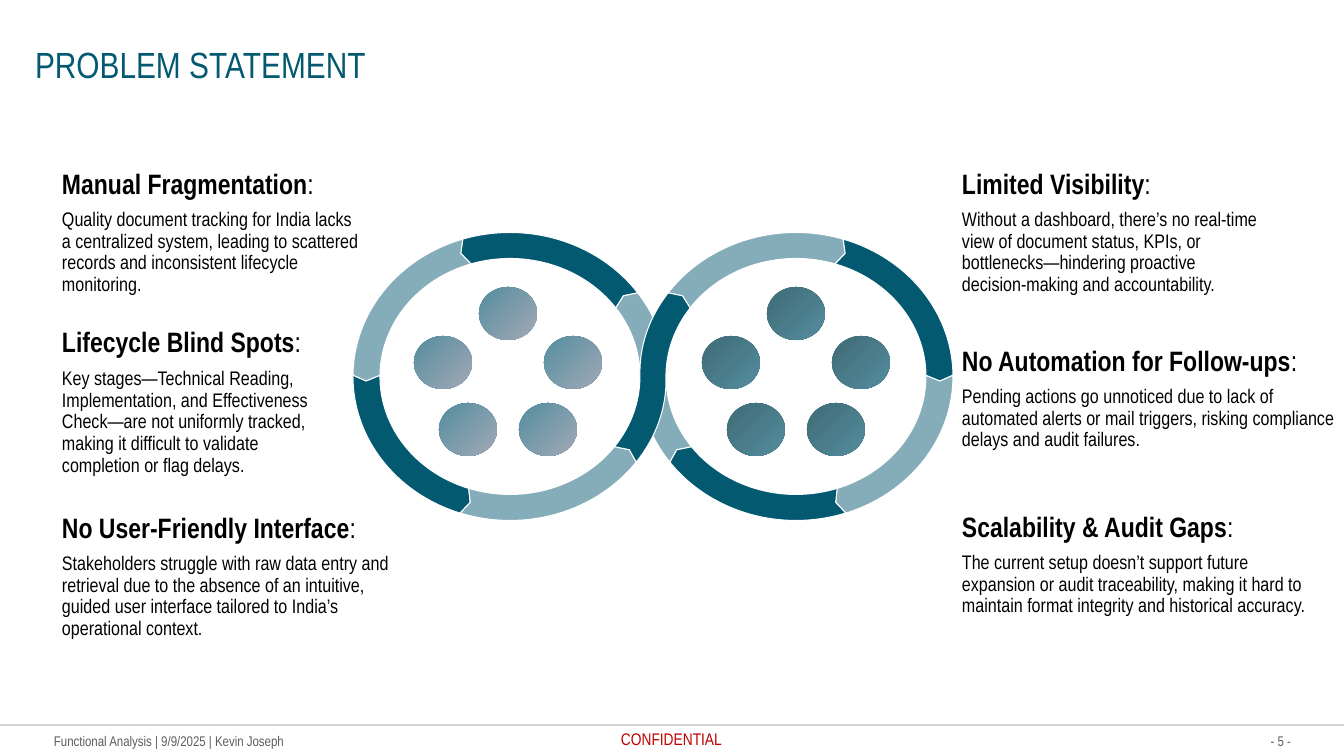
import math

import pptx
import pptx.dml.color
import pptx.enum.shapes
import pptx.enum.text
import pptx.oxml
import pptx.oxml.ns
import pptx.util

PX = 914400 / 100.8
FONT = "Arial Narrow"
NAMESPACE = pptx.oxml.ns.nsdecls("a")
COLORS = {
    "dark": "035970", "light": "85ACB9", "white": "FFFFFF", "black": "000000",
    "teal": "548D9E", "mist": "A2A9B7", "deep": "3F6A76",
    "grey": "5E5E5E", "red": "C00000",
}
RING_CENTER = 143
OUTER, MIDDLE, INNER = (157, 144), (144, 131), (130, 118)
JOINT_ANGLE, JOINT_STEP, NOTCH = -35.5, -72, -2.5
BEADS = [(-65, -14), (65, -14), (0, -63), (-40, 53), (40, 53)]
BEAD_SIZE = (58, 53)
CALLOUTS = [
    ((62, 169, 298, 128), "Manual Fragmentation",
     "Quality document tracking for India lacks a centralized system, leading to "
     "scattered records and inconsistent lifecycle monitoring."),
    ((62, 328, 271, 185), "Lifecycle Blind Spots",
     "Key stages—Technical Reading, Implementation, and Effectiveness Check—are not "
     "uniformly tracked, making it difficult to validate completion or flag delays."),
    ((62, 513, 328, 128), "No User-Friendly Interface",
     "Stakeholders struggle with raw data entry and retrieval due to the absence of an "
     "intuitive, guided user interface tailored to India’s operational context."),
    ((962, 169, 298, 128), "Limited Visibility",
     "Without a dashboard, there’s no real-time view of document status, KPIs, or "
     "bottlenecks—hindering proactive decision-making and accountability."),
    ((962, 346, 387, 106), "No Automation for Follow-ups",
     "Pending actions go unnoticed due to lack of automated alerts or mail triggers, "
     "risking compliance delays and audit failures."),
    ((962, 512, 364, 128), "Scalability & Audit Gaps",
     "The current setup doesn’t support future expansion or audit traceability, making "
     "it hard to maintain format integrity and historical accuracy."),
]


def px(length):
    """Turn pixels into EMU."""
    return pptx.util.Emu(round(length * PX))


def rgb(name):
    """Look up a named colour."""
    return pptx.dml.color.RGBColor.from_string(COLORS[name])


def write(paragraph, text, size=14, color="black", bold=False, align="LEFT"):
    """Append a formatted run to a paragraph."""
    paragraph.alignment = getattr(pptx.enum.text.PP_ALIGN, align)
    run = paragraph.add_run()
    run.text = text
    run.font.name = FONT
    run.font.size = pptx.util.Pt(size)
    run.font.bold = bold
    run.font.color.rgb = rgb(color)


def prepare_frame(shape, anchor="TOP"):
    """Give a text shape no margins, wrapping and an anchor."""
    frame = shape.text_frame
    frame.margin_left = frame.margin_top = frame.margin_right = frame.margin_bottom = 0
    frame.word_wrap = True
    frame.auto_size = pptx.enum.text.MSO_AUTO_SIZE.NONE
    frame.vertical_anchor = getattr(pptx.enum.text.MSO_ANCHOR, anchor)
    return frame


def add_frame(slide, box, anchor="TOP"):
    """Add a text box and return its frame."""
    return prepare_frame(slide.shapes.add_textbox(*map(px, box)), anchor)


def add_title(slide, box, text):
    """Place and fill the title placeholder."""
    title = slide.shapes.title
    title.left, title.top, title.width, title.height = map(px, box)
    write(prepare_frame(title).paragraphs[0], text, size=26, color="dark")


def add_callout(slide, box, heading, body):
    """Add a bold heading with its explanation."""
    frame = add_frame(slide, box)
    first, second = frame.paragraphs[0], frame.add_paragraph()
    write(first, heading, size=20, bold=True)
    write(first, ":", size=20)
    write(second, body)
    for paragraph in (first, second):
        paragraph.line_spacing = 0.93
        paragraph.space_after = pptx.util.Pt(6)


def arc(side, radii, start, end):
    """Return path nodes of a left (1) or right (-1) ring arc, split at each quadrant."""
    def place(angle, pull=0):
        """Return the point at an angle, moved along the tangent."""
        cosine, sine = math.cos(angle), math.sin(angle)
        return (side * (radii[0] * (cosine - pull * sine) - RING_CENTER),
                radii[1] * (sine + pull * cosine))

    quadrants = [angle for angle in range(-360, 361, 90)
                 if min(start, end) < angle < max(start, end)]
    stops = [math.radians(angle)
             for angle in sorted([start, *quadrants, end], reverse=end < start)]
    nodes = [[place(stops[0])]]
    for before, after in zip(stops, stops[1:]):
        pull = 4 / 3 * math.tan((after - before) / 4)
        nodes.append([place(before, pull), place(after, -pull), place(after)])
    return nodes


def notch(side, joint):
    """Return the middle node of the arrow joint at an angle."""
    return arc(side, MIDDLE, joint + NOTCH, joint + NOTCH)[:1]


def add_band(group, center, nodes, color):
    """Draw one closed band of the loop with curved edges."""
    nodes = [[(px(center[0] + x), px(center[1] + y)) for x, y in node] for node in nodes]
    corners = [node[-1] for node in nodes]
    builder = group.shapes.build_freeform(*corners[0])
    builder.add_line_segments(corners[1:], close=True)
    band = builder.convert_to_shape()
    left, top = (min(values) for values in zip(*corners))
    lines = list(band._element.iter(pptx.oxml.ns.qn("a:lnTo")))
    for line, node in zip(lines, nodes[1:]):
        if len(node) == 3:
            points = "".join(f'<a:pt x="{x - left}" y="{y - top}"/>' for x, y in node)
            line.getparent().replace(line, pptx.oxml.parse_xml(
                f"<a:cubicBezTo {NAMESPACE}>{points}</a:cubicBezTo>"))
    band.shadow.inherit = False
    band.fill.solid()
    band.fill.fore_color.rgb = rgb(color)
    band.line.color.rgb = rgb("white")
    band.line.width = pptx.util.Pt(0.75)


def add_ring(group, center, side, colors):
    """Draw the four outer bands of one ring."""
    for index in range(4):
        start = JOINT_ANGLE + index * JOINT_STEP
        end = start + JOINT_STEP
        nodes = (arc(side, OUTER, start, end) + notch(side, end)
                 + arc(side, INNER, end, start) + notch(side, start))
        add_band(group, center, nodes, colors[index % 2])


def add_link(group, center, side, color):
    """Draw the band that crosses from one ring to the other."""
    upper, lower = JOINT_ANGLE, -JOINT_ANGLE + 1
    nodes = (arc(side, INNER, upper, 0) + arc(-side, OUTER, 0, lower)[1:]
             + notch(-side, lower) + arc(-side, INNER, lower, 0)
             + arc(side, OUTER, 0, upper)[1:] + notch(side, upper))
    add_band(group, center, nodes, color)


def add_beads(group, center, colors):
    """Place five shaded circles inside a ring."""
    width, height = BEAD_SIZE
    for x, y in BEADS:
        bead = group.shapes.add_shape(
            pptx.enum.shapes.MSO_SHAPE.OVAL, px(center[0] + x - width / 2),
            px(center[1] + y - height / 2), px(width), px(height))
        bead.shadow.inherit = False
        bead.line.fill.background()
        bead.fill.gradient()
        for stop, position, color in zip(bead.fill.gradient_stops, (0, 1), colors):
            stop.position = position
            stop.color.rgb = rgb(color)
        gradient = bead._element.spPr.find(pptx.oxml.ns.qn("a:gradFill"))
        linear = gradient.find(pptx.oxml.ns.qn("a:lin"))
        gradient.replace(linear, pptx.oxml.parse_xml(
            f'<a:path {NAMESPACE} path="circle">'
            '<a:fillToRect l="100000" t="100000"/></a:path>'))


def add_infinity_loop(slide, box):
    """Draw the two linked rings and their beads around the box centre."""
    left, top, width, height = box
    x, y = left + width / 2, top + height / 2
    group = slide.shapes.add_group_shape()
    add_ring(group, (x, y), 1, ("dark", "light"))
    add_ring(group, (x, y), -1, ("light", "dark"))
    add_link(group, (x, y), 1, "light")
    add_link(group, (x, y), -1, "dark")
    add_beads(group, (x - RING_CENTER - 2, y), ("mist", "teal"))
    add_beads(group, (x + RING_CENTER, y), ("teal", "deep"))


def add_footer(slide, box):
    """Draw the rule and the three footer texts."""
    left, top, width, height = box
    rule = slide.shapes.add_connector(
        pptx.enum.shapes.MSO_CONNECTOR.STRAIGHT, px(left), px(top), px(left + width), px(top))
    rule.line.color.rgb = rgb("black")
    rule.line.width = pptx.util.Pt(1)
    color = next(rule._element.spPr.iter(pptx.oxml.ns.qn("a:srgbClr")))
    color.append(pptx.oxml.parse_xml(f'<a:alpha {NAMESPACE} val="25000"/>'))
    rule._element.spPr.append(pptx.oxml.parse_xml(f"<a:effectLst {NAMESPACE}/>"))
    for x, y, span, text, style in [
        (54, 7, 255, "Functional Analysis | 9/9/2025 | Kevin Joseph", {}),
        (1259, 7, 32, "- 5 -", {"align": "RIGHT"}),
        (621, 5, 105, "CONFIDENTIAL", {"size": 12, "color": "red"}),
    ]:
        frame = add_frame(slide, (left + x, top + y, span, height - 14), "MIDDLE")
        write(frame.paragraphs[0], text, **{"size": 10, "color": "grey", **style})


def main():
    """Build and save the slide."""
    presentation = pptx.Presentation()
    presentation.slide_width, presentation.slide_height = px(1344), px(756)
    slide = presentation.slides.add_slide(presentation.slide_layouts[5])
    add_footer(slide, (0, 725, 1344, 31))
    add_title(slide, (35, 42, 1238, 44), "PROBLEM STATEMENT")
    add_infinity_loop(slide, (353, 233, 600, 287))
    for box, heading, body in CALLOUTS:
        add_callout(slide, box, heading, body)
    presentation.save("out.pptx")


if __name__ == "__main__":
    main()
